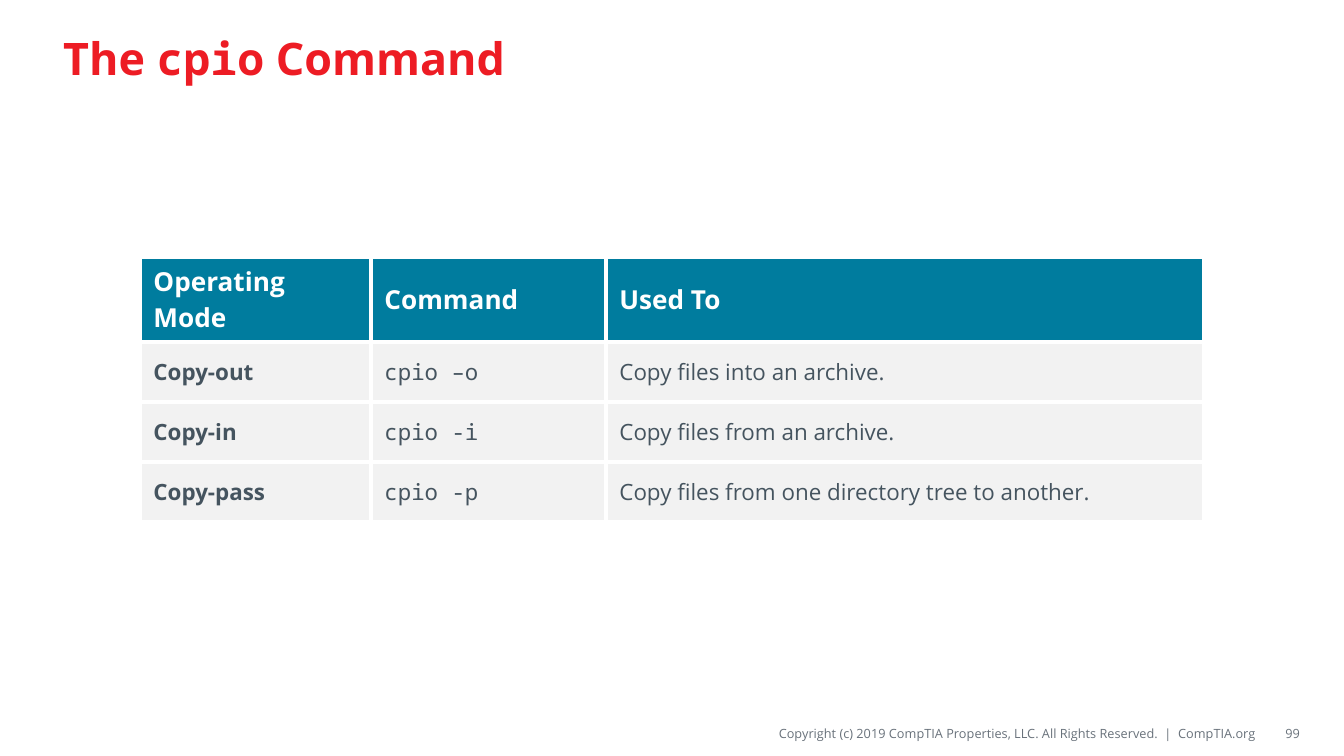
from lxml.etree import SubElement
from pptx import Presentation
from pptx.dml.color import RGBColor
from pptx.enum.text import MSO_ANCHOR as Anchor, PP_ALIGN as Align
from pptx.oxml.ns import qn
from pptx.util import Pt

SCALE = 914400 / 134.4
SANS = "Open Sans"
MONO = "Noto Sans Mono"
RED = RGBColor(0xED, 0x1C, 0x24)
TEAL = RGBColor(0x00, 0x7C, 0x9E)
SLATE = RGBColor(0x45, 0x54, 0x5F)
GREY = RGBColor(0x69, 0x72, 0x7B)
PALE = RGBColor(0xF2, 0xF2, 0xF2)
WHITE = RGBColor(0xFF, 0xFF, 0xFF)

HEADS = ("Operating Mode", "Command", "Used To")
MODES = (
    ("Copy-out", "cpio –o", "Copy files into an archive."),
    ("Copy-in", "cpio -i", "Copy files from an archive."),
    ("Copy-pass", "cpio -p", "Copy files from one directory tree to another."),
)
WIDTHS = (231, 235, 598)
HEAD_ROW, MODE_ROW = 85, 60


def px(count):
    return round(count * SCALE)


def style(font, size, color, bold=False, name=SANS):
    font.size = Pt(size)
    font.color.rgb = color
    font.bold = bold
    font.name = name


def add_box(slide, left, top, width, height):
    box = slide.shapes.add_textbox(px(left), px(top), px(width), px(height))
    frame = box.text_frame
    frame.word_wrap = True
    frame.vertical_anchor = Anchor.MIDDLE
    return frame


def add_title(slide, parts):
    para = add_box(slide, 50, 11, 1243, 93).paragraphs[0]
    for text, face in parts:
        run = para.add_run()
        run.text = text
        style(run.font, 24, RED, True, face)


def add_foot(slide, text, left, width):
    frame = add_box(slide, left, 718, width, 30)
    frame.margin_left = frame.margin_right = 0
    para = frame.paragraphs[0]
    para.text = text
    para.alignment = Align.RIGHT
    style(para.font, 6.8, GREY)


def add_edges(cell):
    props = cell._tc.get_or_add_tcPr()
    for side in ("lnL", "lnR", "lnT", "lnB"):
        line = SubElement(props, qn(f"a:{side}"), w=str(Pt(2.25)))
        fill = SubElement(line, qn("a:solidFill"))
        SubElement(fill, qn("a:srgbClr"), val=str(WHITE))


def fill_cell(cell, text, back, *look):
    add_edges(cell)
    cell.fill.solid()
    cell.fill.fore_color.rgb = back
    cell.vertical_anchor = Anchor.MIDDLE
    para = cell.text_frame.paragraphs[0]
    para.text = text
    style(para.font, *look)


def add_modes(slide):
    tall = HEAD_ROW + MODE_ROW * len(MODES)
    table = slide.shapes.add_table(
        len(MODES) + 1, len(HEADS), px(140), px(257), px(sum(WIDTHS)), px(tall)
    ).table
    for col, width in zip(table.columns, WIDTHS):
        col.width = px(width)
    for index, row in enumerate(table.rows):
        row.height = px(MODE_ROW if index else HEAD_ROW)
    for col, text in enumerate(HEADS):
        fill_cell(table.cell(0, col), text, TEAL, 14, WHITE, True)
    for row, texts in enumerate(MODES, 1):
        for col, text in enumerate(texts):
            face = MONO if col == 1 else SANS
            fill_cell(table.cell(row, col), text, PALE, 12, SLATE, col == 0, face)


def main():
    deck = Presentation()
    deck.slide_width, deck.slide_height = px(1344), px(756)
    slide = deck.slides.add_slide(deck.slide_layouts[6])
    add_foot(
        slide,
        "Copyright (c) 2019 CompTIA Properties, LLC. All Rights Reserved.  |  CompTIA.org",
        521,
        735,
    )
    add_title(slide, (("The ", SANS), ("cpio", MONO), (" Command", SANS)))
    add_foot(slide, "99", 1261, 39)
    add_modes(slide)
    deck.save("out.pptx")


if __name__ == "__main__":
    main()
